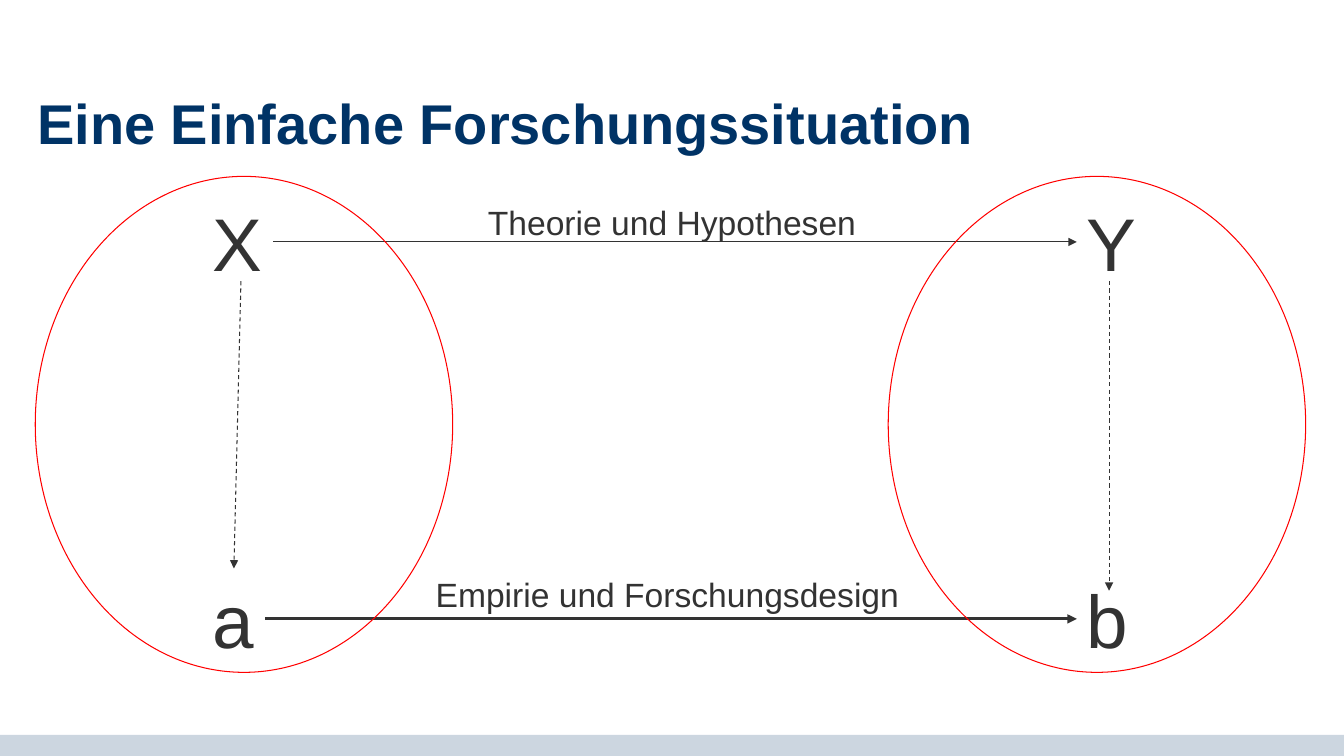
from dataclasses import dataclass

from lxml.etree import SubElement
from pptx import Presentation
from pptx.dml.color import RGBColor
from pptx.enum.dml import MSO_LINE
from pptx.enum.shapes import MSO_CONNECTOR, MSO_SHAPE
from pptx.enum.text import MSO_ANCHOR, PP_ALIGN
from pptx.oxml.ns import qn
from pptx.util import Inches, Pt


@dataclass(frozen=True)
class Theme:
    font: str = "Arial"
    ink: RGBColor = RGBColor(0x33, 0x33, 0x33)
    navy: RGBColor = RGBColor(0x00, 0x33, 0x66)
    red: RGBColor = RGBColor(0xFF, 0x00, 0x00)
    band: RGBColor = RGBColor(0xCC, 0xD6, 0xE0)
    title_size: float = 40
    variable_size: float = 53.3
    label_size: float = 24
    thin: float = 0.75
    thick: float = 2.25


THEME = Theme()
WIDTH, HEIGHT = 13.33, 7.5
BAND_HEIGHT = 0.21

TITLE = "Eine Einfache Forschungssituation"
LEFT_COLUMN, RIGHT_COLUMN = 2.01, 10.68
TOP_ROW, BOTTOM_ROW = 1.9, 5.64
VARIABLES = [
    ("X", LEFT_COLUMN, TOP_ROW, 0.7),
    ("Y", RIGHT_COLUMN, TOP_ROW, 0.64),
    ("a", LEFT_COLUMN, BOTTOM_ROW, 0.62),
    ("b", RIGHT_COLUMN, BOTTOM_ROW, 0.64),
]
LABELS = [
    ("Theorie und Hypothesen", 1.95),
    ("Empirie und Forschungsdesign ", BOTTOM_ROW),
]
ARROWS = [
    ((2.71, 2.4), (RIGHT_COLUMN, 2.4), THEME.thin, False),
    ((2.63, 6.14), (RIGHT_COLUMN, 6.14), THEME.thick, False),
    ((2.39, 2.79), (2.32, BOTTOM_ROW), THEME.thin, True),
    ((11, 2.79), (11, 5.86), THEME.thin, True),
]
ELLIPSE_LEFTS = [0.35, 8.81]


def inches(*lengths):
    return [Inches(length) for length in lengths]


def style(para, size, color, bold=False):
    para.font.name = THEME.font
    para.font.size = Pt(size)
    para.font.color.rgb = color
    para.font.bold = bold


def add_text(page, text, area, size, align=PP_ALIGN.LEFT, wrap=True):
    box = page.shapes.add_textbox(*inches(*area))
    box.text_frame.word_wrap = wrap
    para = box.text_frame.paragraphs[0]
    para.text = text
    para.alignment = align
    style(para, size, THEME.ink)


def add_arrow(page, start, end, width, dashed):
    arrow = page.shapes.add_connector(MSO_CONNECTOR.STRAIGHT, *inches(*start, *end))
    arrow.line.color.rgb = THEME.ink
    arrow.line.width = Pt(width)
    if dashed:
        arrow.line.dash_style = MSO_LINE.DASH
    SubElement(arrow.line._get_or_add_ln(), qn("a:tailEnd"), type="triangle")
    SubElement(arrow._element.spPr, qn("a:effectLst"))


def add_band(page):
    area = inches(0, HEIGHT - BAND_HEIGHT, WIDTH, BAND_HEIGHT)
    band = page.shapes.add_shape(MSO_SHAPE.RECTANGLE, *area)
    band.shadow.inherit = False
    band.fill.solid()
    band.fill.fore_color.rgb = THEME.band
    band.line.fill.background()


def add_ellipse(page, left):
    ellipse = page.shapes.add_shape(MSO_SHAPE.OVAL, *inches(left, 1.75, 4.14, 4.92))
    ellipse.shadow.inherit = False
    ellipse.fill.background()
    ellipse.line.color.rgb = THEME.red
    ellipse.line.width = Pt(THEME.thin)


def set_title(page):
    title = page.shapes.title
    title.left, title.top, title.width, title.height = inches(0.37, 1.03, 12.6, 0.47)
    frame = title.text_frame
    frame.margin_left = frame.margin_right = frame.margin_top = frame.margin_bottom = 0
    frame.vertical_anchor = MSO_ANCHOR.MIDDLE
    frame.word_wrap = True
    para = frame.paragraphs[0]
    para.text = TITLE
    para.alignment = PP_ALIGN.LEFT
    para.line_spacing = 0.85
    style(para, THEME.title_size, THEME.navy, bold=True)


def main():
    deck = Presentation()
    deck.slide_width, deck.slide_height = inches(WIDTH, HEIGHT)
    page = deck.slides.add_slide(deck.slide_layouts[5])
    add_band(page)
    set_title(page)
    for arrow in ARROWS:
        add_arrow(page, *arrow)
    for text, left, top, width in VARIABLES:
        add_text(page, text, (left, top, width, 1), THEME.variable_size,
                 wrap=left == RIGHT_COLUMN)
    for text, top in LABELS:
        add_text(page, text, (3.13, top, 7.07, 0.5), THEME.label_size, PP_ALIGN.CENTER)
    for left in ELLIPSE_LEFTS:
        add_ellipse(page, left)
    deck.save("out.pptx")


if __name__ == "__main__":
    main()
